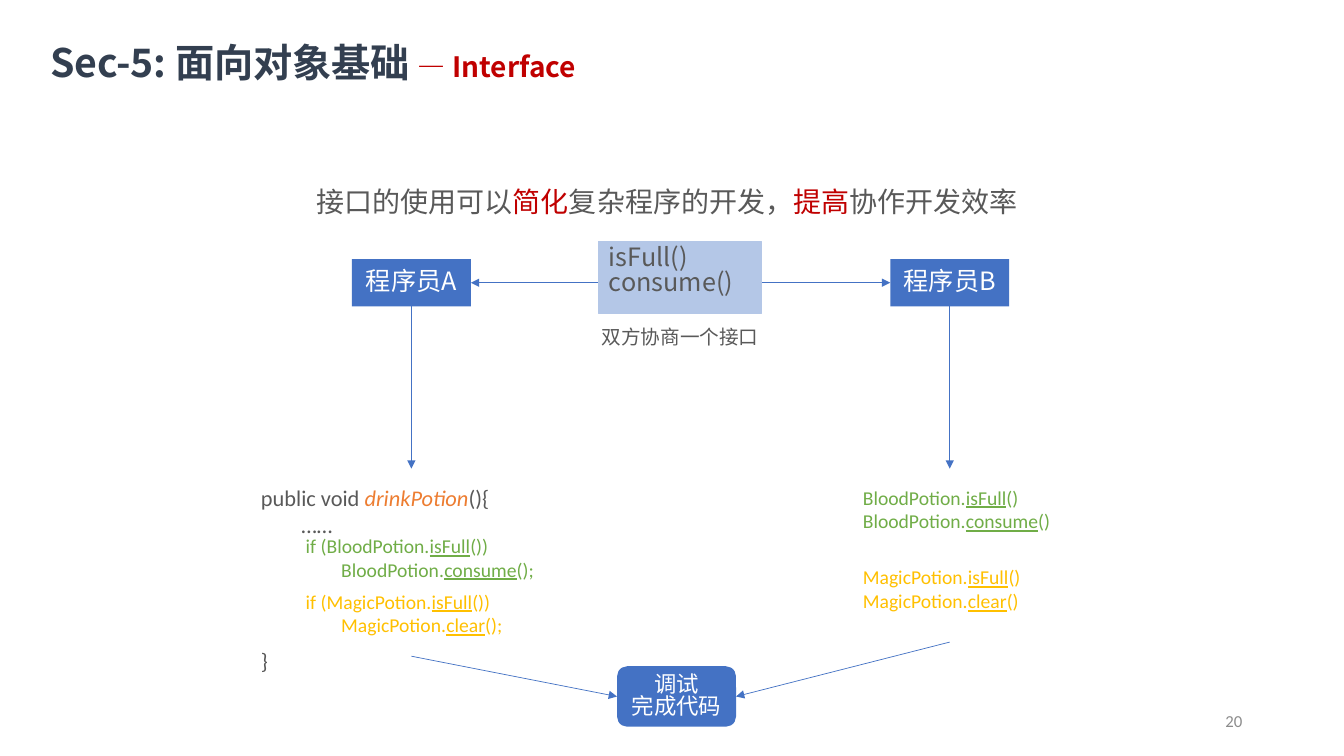
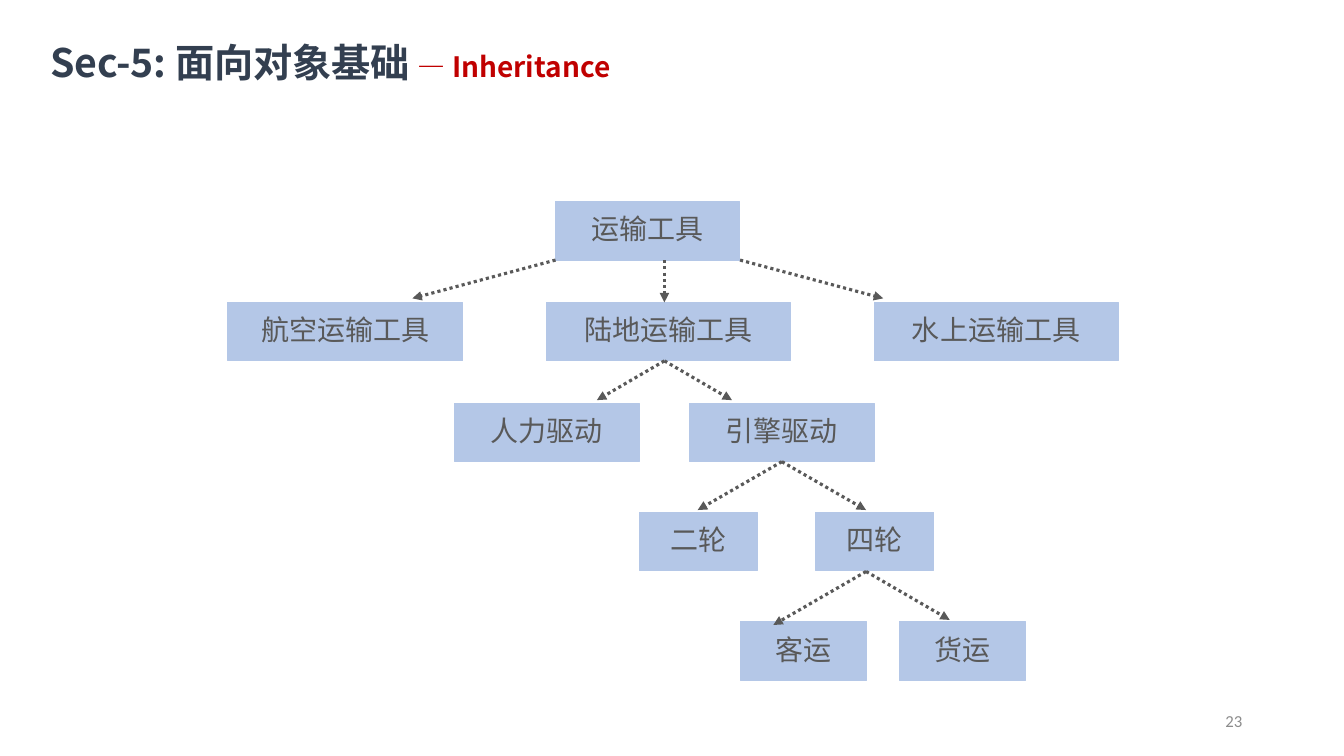
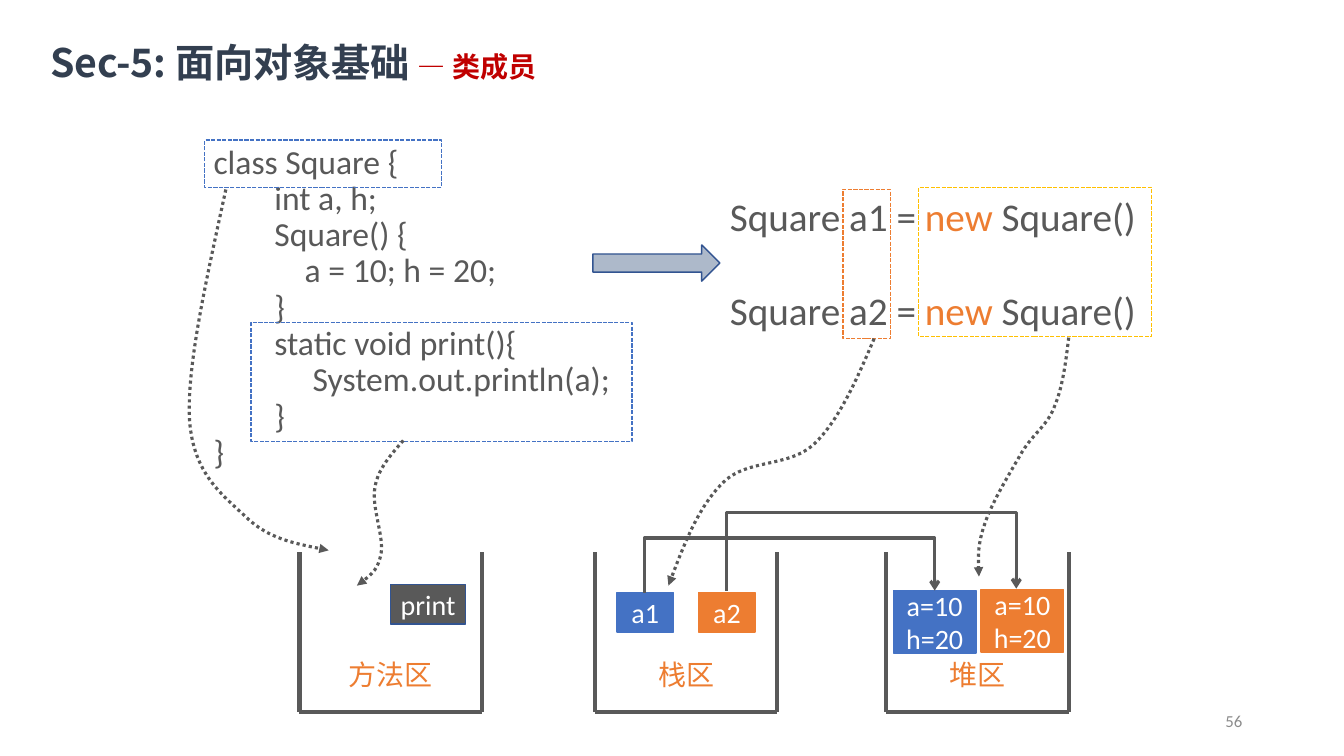
from lxml import etree
from pptx import Presentation
from pptx.dml.color import RGBColor
from pptx.enum.dml import MSO_LINE
from pptx.enum.shapes import MSO_CONNECTOR, MSO_SHAPE
from pptx.enum.text import MSO_ANCHOR, MSO_AUTO_SIZE, PP_ALIGN
from pptx.oxml.ns import qn
from pptx.util import Inches, Pt

RECT, ROUNDED, BLOCK_ARROW = MSO_SHAPE.RECTANGLE, MSO_SHAPE.ROUNDED_RECTANGLE, MSO_SHAPE.RIGHT_ARROW
STRAIGHT, ELBOW = MSO_CONNECTOR.STRAIGHT, MSO_CONNECTOR.ELBOW
DOT, DASH = MSO_LINE.ROUND_DOT, MSO_LINE.SQUARE_DOT
LEFT, CENTER, RIGHT = PP_ALIGN.LEFT, PP_ALIGN.CENTER, PP_ALIGN.RIGHT
TOP, MIDDLE = MSO_ANCHOR.TOP, MSO_ANCHOR.MIDDLE
SIDE_BOTTOM, SIDE_LEFT, SIDE_RIGHT = 2, 1, 3
CJK, LATIN = "Noto Sans CJK SC", "Calibri"
C = {
    "text": "595959", "title": "333F50", "red": "C00000", "number": "8C8C8C",
    "blue": "4472C4", "pale": "B4C7E7", "orange": "ED7D31", "green": "70AD47",
    "gold": "FFC000", "navy": "325491", "steel": "ADB9CA", "white": "FFFFFF",
}


def rgb(name):
    return RGBColor.from_string(C[name])


def write(tf, paras, size=20, color="text", font=CJK, align=LEFT, line=None, hang=0, gaps=()):
    line = line or (0.9 if font == CJK else 1)
    for i, runs in enumerate(paras):
        p = tf.paragraphs[0] if i == 0 else tf.add_paragraph()
        p.alignment = align
        p.line_spacing = line
        if i < len(gaps) and gaps[i]:
            p.space_before = Pt(gaps[i])
        if hang:
            pPr = p._p.get_or_add_pPr()
            pPr.set("marL", str(Inches(hang)))
            pPr.set("indent", str(-Inches(hang)))
        for run in [runs] if isinstance(runs, str) else runs:
            text, fmt = (run, {}) if isinstance(run, str) else run
            r = p.add_run()
            r.text = text
            r.font.size = Pt(fmt.get("size", size))
            r.font.name = font
            r.font.color.rgb = rgb(fmt.get("color", color))
            for key in ("bold", "italic", "underline"):
                if key in fmt:
                    setattr(r.font, key, fmt[key])
            rPr = r._r.get_or_add_rPr()
            if "spacing" in fmt:
                rPr.set("spc", str(fmt["spacing"]))
            etree.SubElement(rPr, qn("a:ea")).set("typeface", font)


def text_box(s, box, paras, anchor=TOP, **fmt):
    tf = s.shapes.add_textbox(*map(Inches, box)).text_frame
    tf.word_wrap = True
    tf.vertical_anchor = anchor
    write(tf, paras, **fmt)


def stroke(shape, color, width, dash=None, head=None, tail=None):
    shape.line.color.rgb = rgb(color)
    shape.line.width = Pt(width)
    if dash:
        shape.line.dash_style = dash
    ln = shape._element.spPr.find(qn("a:ln"))
    for tag, kind in (("a:headEnd", head), ("a:tailEnd", tail)):
        if kind:
            etree.SubElement(ln, qn(tag)).set("type", kind)


def block(s, box, paras=(), fill=None, border=None, width=1, dash=None, kind=RECT,
          anchor=MIDDLE, wrap=False, **fmt):
    shape = s.shapes.add_shape(kind, *map(Inches, box))
    shape.shadow.inherit = False
    if fill:
        shape.fill.solid()
        shape.fill.fore_color.rgb = rgb(fill)
    else:
        shape.fill.background()
    if border:
        stroke(shape, border, width, dash)
    else:
        shape.line.fill.background()
    tf = shape.text_frame
    tf.word_wrap = wrap
    tf.vertical_anchor = anchor
    write(tf, paras, **{"align": CENTER, **fmt})
    return shape


def connect(s, start, end, color="text", width=2.25, begin=None, finish=None, kind=STRAIGHT, **ends):
    c = s.shapes.add_connector(kind, *map(Inches, start + end))
    if begin:
        c.begin_connect(*begin)
    if finish:
        c.end_connect(*finish)
    stroke(c, color, width, **ends)
    etree.SubElement(c._element.spPr, qn("a:effectLst"))
    return c


def over_arrow(s, start, run, lift):
    x, y = start
    drop = 0.02
    left, top = x + (run - drop) / 2, y - (run + drop) / 2
    c = connect(s, (left, top), (left + drop, top + run), kind=ELBOW, tail="arrow")
    xfrm = c._element.spPr.find(qn("a:xfrm"))
    for key, value in (("rot", "5400000"), ("flipH", "1"), ("flipV", "1")):
        xfrm.set(key, value)
    geom = c._element.spPr.find(qn("a:prstGeom"))
    guides = geom.find(qn("a:avLst"))
    if guides is None:
        guides = etree.SubElement(geom, qn("a:avLst"))
    gd = etree.SubElement(guides, qn("a:gd"))
    gd.set("name", "adj1")
    gd.set("fmla", f"val {round(lift / drop * 100000)}")


def curve(s, points):
    start, *rest = [(Inches(x), Inches(y)) for x, y in points]
    builder = s.shapes.build_freeform(*start)
    builder.add_line_segments(rest, close=False)
    shape = builder.convert_to_shape()
    outline = next(shape._element.iter(qn("a:path")))
    segments = outline.findall(qn("a:lnTo"))
    for i in range(0, len(segments), 3):
        bezier = etree.SubElement(outline, qn("a:cubicBezTo"))
        for segment in segments[i:i + 3]:
            bezier.append(segment[0])
            outline.remove(segment)
    shape.shadow.inherit = False
    shape.fill.background()
    stroke(shape, "text", 2.25, DOT, tail="triangle")


def new_slide(prs, topic, number):
    s = prs.slides.add_slide(prs.slide_layouts[5])
    title = s.shapes.title
    title.left, title.top, title.width, title.height = map(Inches, (0.5, 0.42, 7.35, 0.48))
    tf = title.text_frame
    tf.auto_size = MSO_AUTO_SIZE.NONE
    tf.vertical_anchor = TOP
    tf.margin_left = tf.margin_right = tf.margin_bottom = 0
    tf.margin_top = Inches(0.01)
    accent = {"size": 20, "color": "red", "bold": True}
    write(tf, [[("Sec-5: 面向对象基础 ", {"bold": True, "spacing": -10}),
                ("— ", {**accent, "spacing": -10}), (topic, accent)]], size=28, color="title")
    text_box(s, (9.42, 6.95, 3, 0.4), [str(number)], anchor=MIDDLE,
             size=12, color="number", font=LATIN, align=RIGHT)
    return s


def potion_calls(s, x, y, color, calls):
    paras = [[before, (method, {"underline": True}), after] for before, method, after in calls]
    text_box(s, (x, y, 3.54, 0.57), paras, size=14, color=color, font=LATIN)


def programmer(s, x, y, name):
    box = block(s, (x, y, 1.18, 0.47), [name], fill="blue", size=18, color="white")
    mid = x + 0.59
    connect(s, (mid, y + 0.47), (mid, y + 2.08), "blue", 0.5,
            begin=(box, SIDE_BOTTOM), tail="triangle")
    return box


def interface_slide(prs):
    s = new_slide(prs, "Interface", 20)
    red = {"color": "red"}
    text_box(s, (3.04, 1.82, 8.03, 0.44), [[
        "接口的使用可以", ("简化", red), "复杂程序的开发，", ("提高", red), "协作开发效率"]])
    a = programmer(s, 3.49, 2.57, "程序员A")
    b = programmer(s, 8.83, 2.57, "程序员B")
    connect(s, (4.67, 2.8), (8.83, 2.8), "blue", 0.5, begin=(a, SIDE_RIGHT),
            finish=(b, SIDE_LEFT), head="triangle", tail="triangle")
    block(s, (5.94, 2.4, 1.61, 0.71), ["isFull()", "consume()"], fill="pale", border="pale",
          width=0.75, anchor=TOP, wrap=True, size=18, align=LEFT, line=0.82)
    text_box(s, (5.37, 3.2, 2.75, 0.34), ["双方协商一个接口"], size=14, align=CENTER)

    text_box(s, (2.49, 4.75, 4.65, 1.99), [
        ["public void ", ("drinkPotion", {"color": "orange", "italic": True}), "(){"],
        "        ……", "}"], size=16, font=LATIN, gaps=(0, 0, 78))
    for y, color, potion, action in ((5.25, "green", "BloodPotion.", "consume"),
                                     (5.8, "gold", "MagicPotion.", "clear")):
        potion_calls(s, 2.89, y, color, [(" if (" + potion, "isFull", "())"),
                                         ("         " + potion, action, "();")])
        potion_calls(s, 8.46, 4.77 if color == "green" else 5.56, color,
                     [(potion, "isFull", "()"), (potion, action, "()")])

    debug = block(s, (6.12, 6.61, 1.18, 0.6), ["调试", "完成代码"], fill="blue", kind=ROUNDED,
                  size=16, color="white", line=0.82)
    for start, end, side in (((4.08, 6.51), (6.12, 6.91), SIDE_LEFT),
                             ((9.42, 6.37), (7.3, 6.91), SIDE_RIGHT)):
        connect(s, start, end, "blue", 0.5, finish=(debug, side), tail="triangle")


def inheritance_slide(prs):
    s = new_slide(prs, "Inheritance", 23)
    levels = (
        (2, (("运输工具", 5.51, 1.83),)),
        (3, (("航空运输工具", 2.26, 2.33), ("陆地运输工具", 5.42, 2.42), ("水上运输工具", 8.67, 2.42))),
        (4, (("人力驱动", 4.51, 1.83), ("引擎驱动", 6.84, 1.83))),
        (5.08, (("二轮", 6.34, 1.17), ("四轮", 8.09, 1.17))),
        (6.17, (("客运", 7.34, 1.25), ("货运", 8.92, 1.25))),
    )
    nodes = {}
    for y, row in levels:
        for name, x, w in row:
            nodes[name] = block(s, (x, y, w, 0.58), [name], fill="pale", border="pale", width=0.75)
    engine = (nodes["引擎驱动"], SIDE_BOTTOM)
    branches = (
        ((6.59, 2.58), (6.59, 3), None), ((5.51, 2.58), (4.09, 2.96), None),
        ((7.34, 2.58), (8.76, 2.96), None),
        ((6.59, 3.58), (5.92, 3.97), None), ((6.59, 3.58), (7.26, 3.97), None),
        ((7.76, 4.58), (6.92, 5.06), engine), ((7.76, 4.58), (8.59, 5.06), engine),
        ((8.59, 5.67), (7.67, 6.2), None), ((8.59, 5.67), (9.42, 6.15), None),
    )
    for start, end, begin in branches:
        connect(s, start, end, begin=begin, dash=DOT, tail="triangle")


def memory_area(s, x, y, name):
    w, h = 1.81, 1.58
    corners = [(x, y), (x, y + h), (x + w, y + h), (x + w, y)]
    for start, end in zip(corners, corners[1:]):
        connect(s, start, end, width=3)
    text_box(s, (x, y + 1.03, w, 0.44), [name], color="orange", align=CENTER)


def members_slide(prs):
    s = new_slide(prs, "类成员", 56)
    text_box(s, (2.02, 1.39, 4.86, 3.37), [
        "class Square {",
        "        int a, h;",
        "        Square() {",
        "            a = 10; h = 20;",
        "        }",
        "        static void print(){",
        "\t        System.out.println(a);",
        "        }",
        "}"], size=24, font=LATIN, line=0.9, hang=0.38)
    for y, name in ((1.86, "a1"), (2.79, "a2")):
        text_box(s, (7.14, y, 4.4, 0.57), [[
            f"Square {name} = ", ("new", {"color": "orange"}), " Square()"]], size=28, font=LATIN)
    block(s, (5.88, 2.43, 1.26, 0.36), fill="steel", border="navy", kind=BLOCK_ARROW)

    for x, name in ((2.97, "方法区"), (5.9, "栈区"), (8.79, "堆区")):
        memory_area(s, x, 5.48, name)

    for box, color in (((2.49, 3.2, 3.78, 1.18), "blue"), ((2.03, 1.39, 2.35, 0.47), "blue"),
                       ((8.36, 1.88, 0.47, 1.48), "orange"), ((9.11, 1.86, 2.31, 1.48), "gold")):
        block(s, box, border=color, dash=DASH)

    for points in (
        [(4, 4.37), (3.88, 4.51), (3.75, 4.65), (3.72, 4.83), (3.68, 5.02), (3.81, 5.32),
         (3.78, 5.49), (3.75, 5.65), (3.65, 5.73), (3.54, 5.81)],
        [(2.24, 1.88), (2.05, 2.76), (1.85, 3.63), (1.88, 4.17), (1.92, 4.71), (2.21, 4.91),
         (2.44, 5.13), (2.66, 5.34), (2.96, 5.4), (3.26, 5.46)],
        [(8.67, 3.36), (8.5, 3.76), (8.32, 4.17), (8.08, 4.4), (7.83, 4.64), (7.42, 4.55),
         (7.18, 4.78), (6.94, 5.01), (6.78, 5.41), (6.63, 5.81)],
        [(10.6, 3.35), (10.57, 3.6), (10.54, 3.84), (10.46, 4.03), (10.39, 4.22), (10.26, 4.29),
         (10.14, 4.48), (10.03, 4.67), (9.84, 4.98), (9.77, 5.19), (9.7, 5.39), (9.7, 5.56),
         (9.71, 5.72)],
    ):
        curve(s, points)

    fields = ["a=10", "h=20"]
    for box, paras, fill, border in (
        ((3.87, 5.8, 0.75, 0.39), ["print"], "text", "navy"),
        ((6.12, 5.88, 0.56, 0.39), ["a1"], "blue", "blue"),
        ((6.93, 5.88, 0.56, 0.39), ["a2"], "orange", "orange"),
        ((8.86, 5.86, 0.82, 0.62), fields, "blue", "blue"),
        ((9.73, 5.85, 0.82, 0.62), fields, "orange", "orange"),
    ):
        block(s, box, paras, fill=fill, border=border, color="white", font=LATIN)
    over_arrow(s, (6.39, 5.88), 2.88, 0.54)
    over_arrow(s, (7.21, 5.86), 2.87, 0.77)


def main():
    prs = Presentation()
    prs.slide_width, prs.slide_height = Inches(13.33), Inches(7.5)
    interface_slide(prs)
    inheritance_slide(prs)
    members_slide(prs)
    prs.save("out.pptx")


if __name__ == "__main__":
    main()
